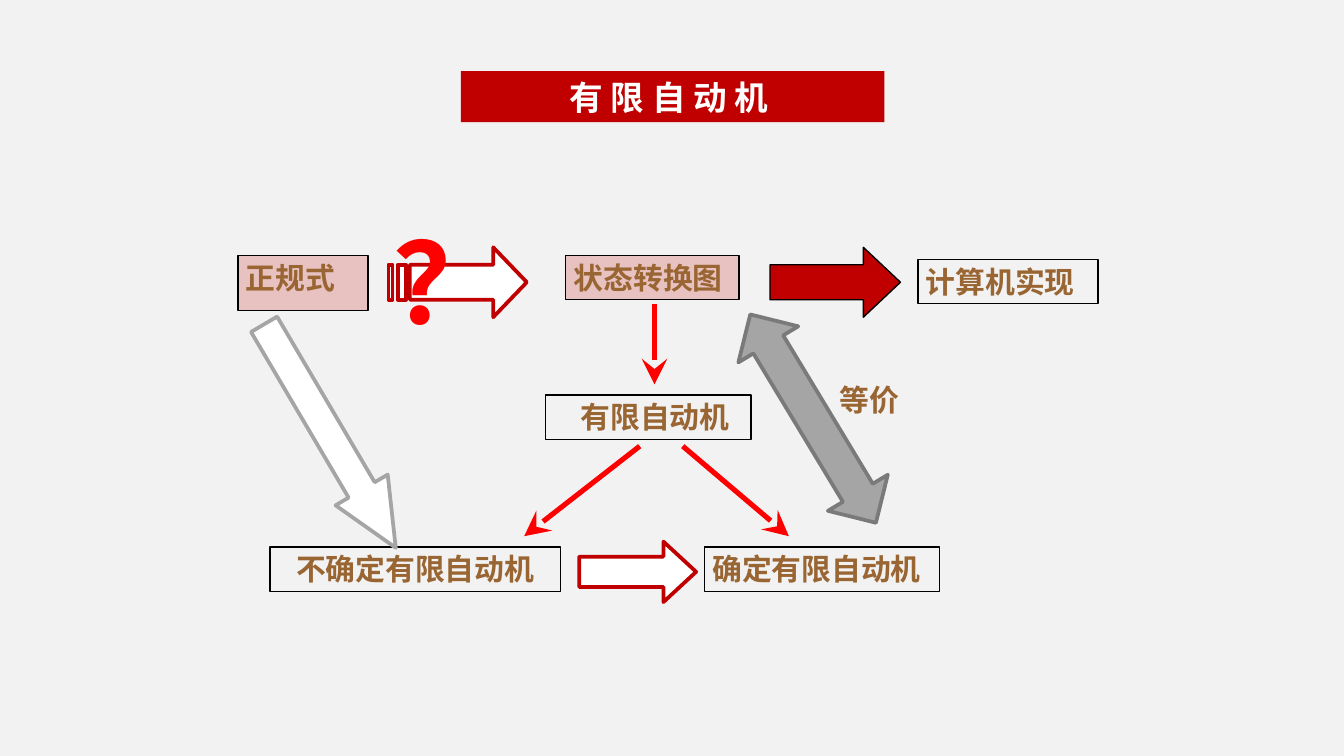
from lxml import etree
from pptx import Presentation
from pptx.dml.color import RGBColor
from pptx.enum import shapes, text
from pptx.oxml import ns
from pptx.util import Inches, Pt

FONT = "Noto Sans CJK SC"
WHITE = RGBColor(0xFF, 0xFF, 0xFF)
BLACK = RGBColor(0, 0, 0)
PAPER = RGBColor(0xF2, 0xF2, 0xF2)
CRIMSON = RGBColor(0xC0, 0, 0)
RED = RGBColor(0xFF, 0, 0)
BROWN = RGBColor(0x99, 0x66, 0x33)
GRAY = RGBColor(0xA5, 0xA5, 0xA5)
DARK_GRAY = RGBColor(0x7A, 0x7A, 0x7A)

LEFT, CENTER = text.PP_ALIGN.LEFT, text.PP_ALIGN.CENTER
RIGHT_ARROW = shapes.MSO_SHAPE.RIGHT_ARROW
UP_DOWN_ARROW = shapes.MSO_SHAPE.UP_DOWN_ARROW

TITLE = ("有 限 自 动 机 ", (3.43, 0.53, 3.15, 0.38))
CONCEPTS = [
    ("正规式", (1.77, 1.9, 0.97, 0.41), LEFT, True, 0),
    ("计算机实现", (6.83, 1.93, 1.34, 0.33), LEFT, False, 0),
    ("状态转换图", (4.21, 1.9, 1.29, 0.33), LEFT, True, 0),
    ("有限自动机", (4.06, 2.94, 1.53, 0.33), CENTER, False, 0.1),
    ("不确定有限自动机", (2.01, 4.07, 2.16, 0.33), CENTER, False, 0),
    ("确定有限自动机", (5.24, 4.07, 1.75, 0.33), LEFT, False, 0),
]
LABELS = [
    ("等价", (6.19, 2.81, 1.1, 0.41), 16, BROWN),
    ("？", (2.87, 1.55, 0.82, 1.07), 60, RED),
]
BLOCK_ARROWS = [
    (RIGHT_ARROW, (5.73, 1.84, 0.97, 0.52), 0, (0.5, 0.53), CRIMSON, BLACK, 0.75),
    (UP_DOWN_ARROW, (5.79, 2.21, 0.52, 1.81), 328.9, (0.72, 0.5), GRAY, DARK_GRAY, 2),
    (RIGHT_ARROW, (1.49, 3.02, 1.93, 0.45), 59.5, (0.5, 1.11), WHITE, GRAY, 2),
    (RIGHT_ARROW, (4.31, 4.03, 0.87, 0.45), 0, (0.5, 0.54), WHITE, CRIMSON, 2),
]
THIN_ARROWS = [
    ((4.87, 2.26), (4.87, 2.86)),
    ((4.76, 3.32), (3.9, 3.99)),
    ((5.08, 3.32), (5.87, 3.99)),
]
ARROW_HEAD = [(3.67, 1.84), (3.67, 1.97), (3.05, 1.97), (3.05, 2.23),
              (3.67, 2.23), (3.67, 2.36), (3.92, 2.1)]
STRIPES = [(2.96, 3.02), (2.89, 2.92)]
STRIPE_TOP, STRIPE_BOTTOM = 1.97, 2.23


def inches(values):
    return [Inches(value) for value in values]


def write(shape, words, size, color, align=LEFT, margins=(0.06, 0.03), indent=0):
    frame = shape.text_frame
    frame.word_wrap = True
    frame.auto_size = text.MSO_AUTO_SIZE.NONE
    frame.vertical_anchor = text.MSO_ANCHOR.TOP
    side, edge = inches(margins)
    frame.margin_left, frame.margin_right = side + Inches(indent), side
    frame.margin_top = frame.margin_bottom = edge
    para = frame.paragraphs[0]
    para.alignment = align
    span = para.add_run()
    span.text = words
    span.font.size, span.font.bold, span.font.name = Pt(size), True, FONT
    span.font.color.rgb = color
    east_asian = etree.SubElement(span.font._element, ns.qn("a:ea"))
    east_asian.set("typeface", FONT)


def paint(shape, fill, line, width):
    shape.shadow.inherit = False
    if fill is None:
        shape.fill.background()
    else:
        shape.fill.solid()
        shape.fill.fore_color.rgb = fill
    shape.line.color.rgb = line
    shape.line.width = Pt(width)


def add_concept(page, words, place, align, tinted, indent):
    box = page.shapes.add_shape(shapes.MSO_SHAPE.RECTANGLE, *inches(place))
    paint(box, CRIMSON if tinted else None, BLACK, 0.75)
    if tinted:
        tint = box.fill._xPr.find(ns.qn("a:solidFill"))[0]
        etree.SubElement(tint, ns.qn("a:alpha")).set("val", "20000")
    write(box, words, 16, BROWN, align, indent=indent)


def add_thin_arrow(page, start, end):
    arrow = page.shapes.add_connector(
        shapes.MSO_CONNECTOR.STRAIGHT, *inches(start + end))
    arrow.line.color.rgb = RED
    arrow.line.width = Pt(2.75)
    tip = etree.SubElement(arrow.line._get_or_add_ln(), ns.qn("a:tailEnd"))
    for name, value in (("type", "stealth"), ("w", "lg"), ("len", "lg")):
        tip.set(name, value)
    etree.SubElement(arrow._element.spPr, ns.qn("a:effectLst"))


def add_striped_arrow(page):
    outlines = [ARROW_HEAD] + [
        [(left, STRIPE_TOP), (left, STRIPE_BOTTOM),
         (right, STRIPE_BOTTOM), (right, STRIPE_TOP)]
        for left, right in STRIPES]
    builder = page.shapes.build_freeform(*inches(ARROW_HEAD[0]))
    for number, outline in enumerate(outlines):
        points = [inches(point) for point in outline]
        if number:
            builder.move_to(*points[0])
        builder.add_line_segments(points[1:], close=True)
    paint(builder.convert_to_shape(), WHITE, CRIMSON, 2)


def main():
    deck = Presentation()
    deck.slide_width, deck.slide_height = inches((10, 10 * 9 / 16))
    page = deck.slides.add_slide(deck.slide_layouts[5])
    page.background.fill.solid()
    page.background.fill.fore_color.rgb = PAPER

    words, place = TITLE
    title = page.shapes.title
    title.left, title.top, title.width, title.height = inches(place)
    title.fill.solid()
    title.fill.fore_color.rgb = CRIMSON
    write(title, words, 18, WHITE, CENTER, (0.07, 0.04))
    title.text_frame.vertical_anchor = text.MSO_ANCHOR.MIDDLE

    for concept in CONCEPTS:
        add_concept(page, *concept)
    add_striped_arrow(page)
    for start, end in THIN_ARROWS:
        add_thin_arrow(page, start, end)
    for kind, place, angle, proportions, fill, line, width in BLOCK_ARROWS:
        arrow = page.shapes.add_shape(kind, *inches(place))
        arrow.rotation = angle
        for number, proportion in enumerate(proportions):
            arrow.adjustments[number] = proportion
        paint(arrow, fill, line, width)
    for words, place, size, color in LABELS:
        write(page.shapes.add_textbox(*inches(place)), words, size, color)

    deck.save("out.pptx")


if __name__ == "__main__":
    main()
